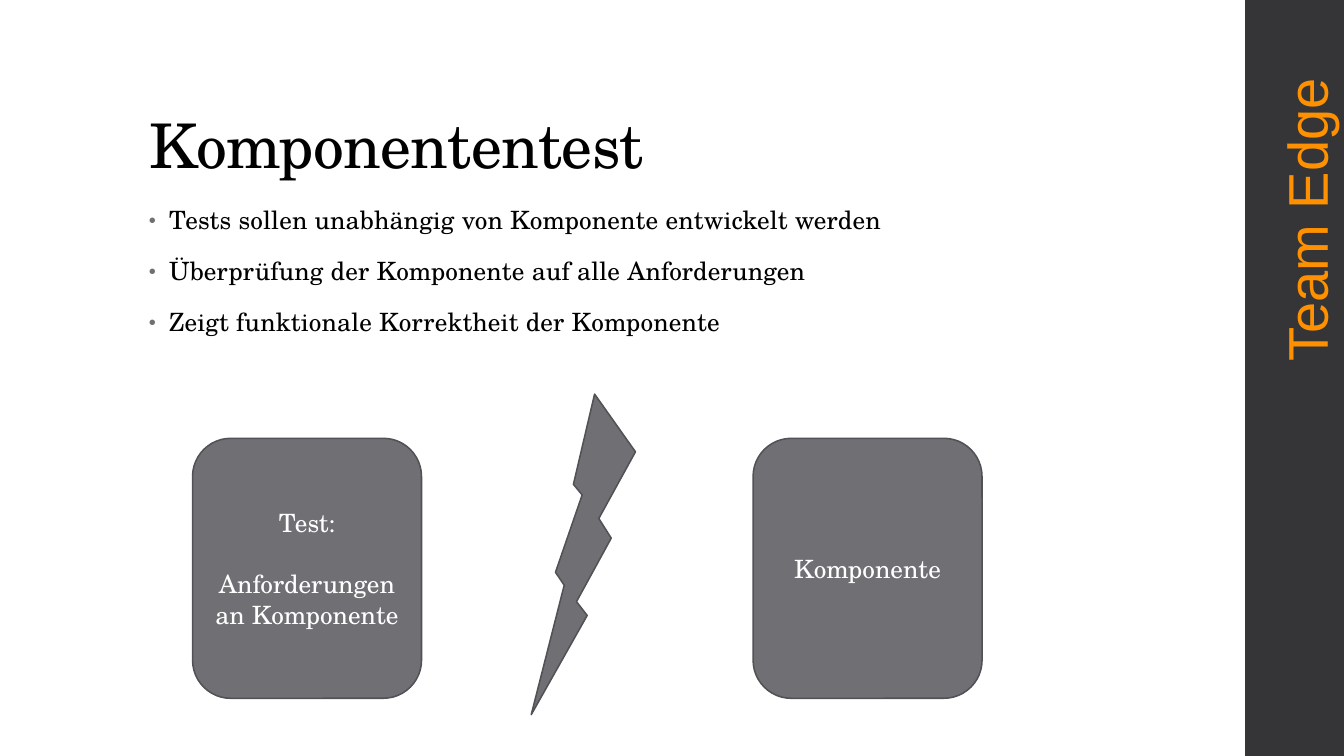
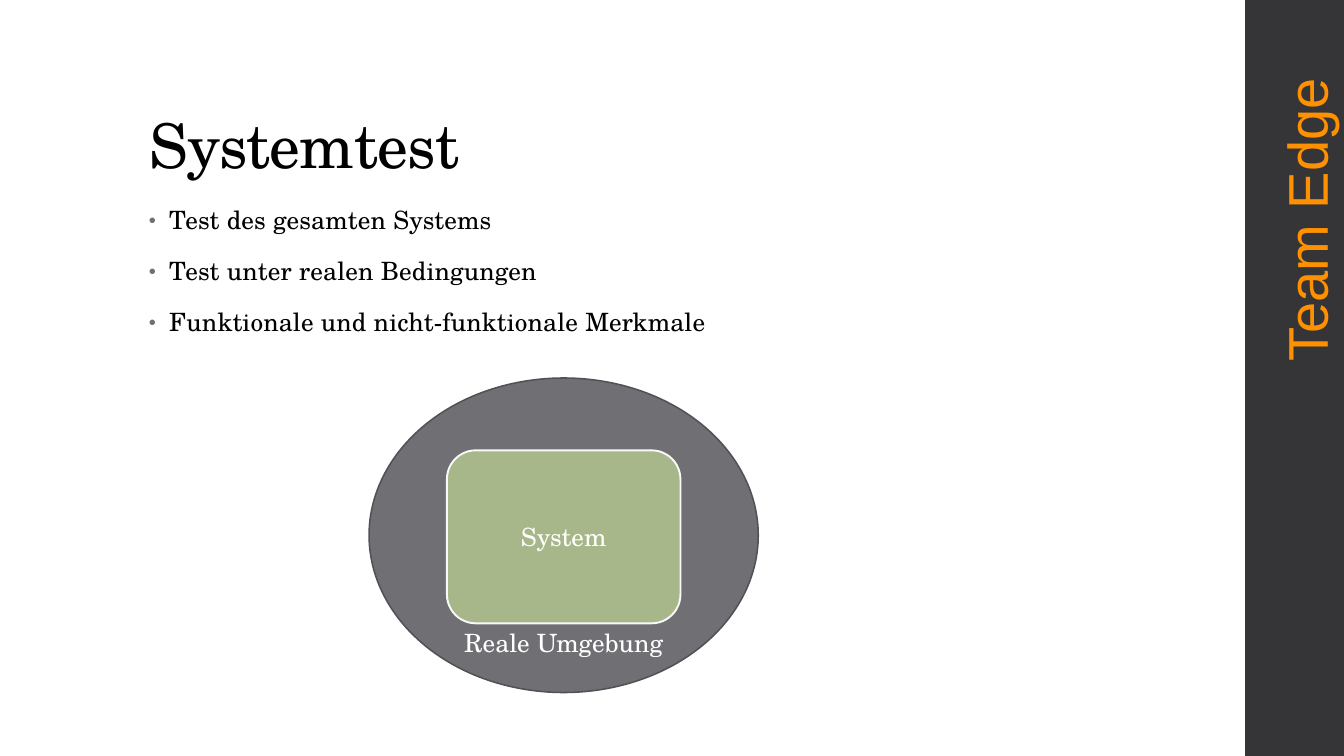
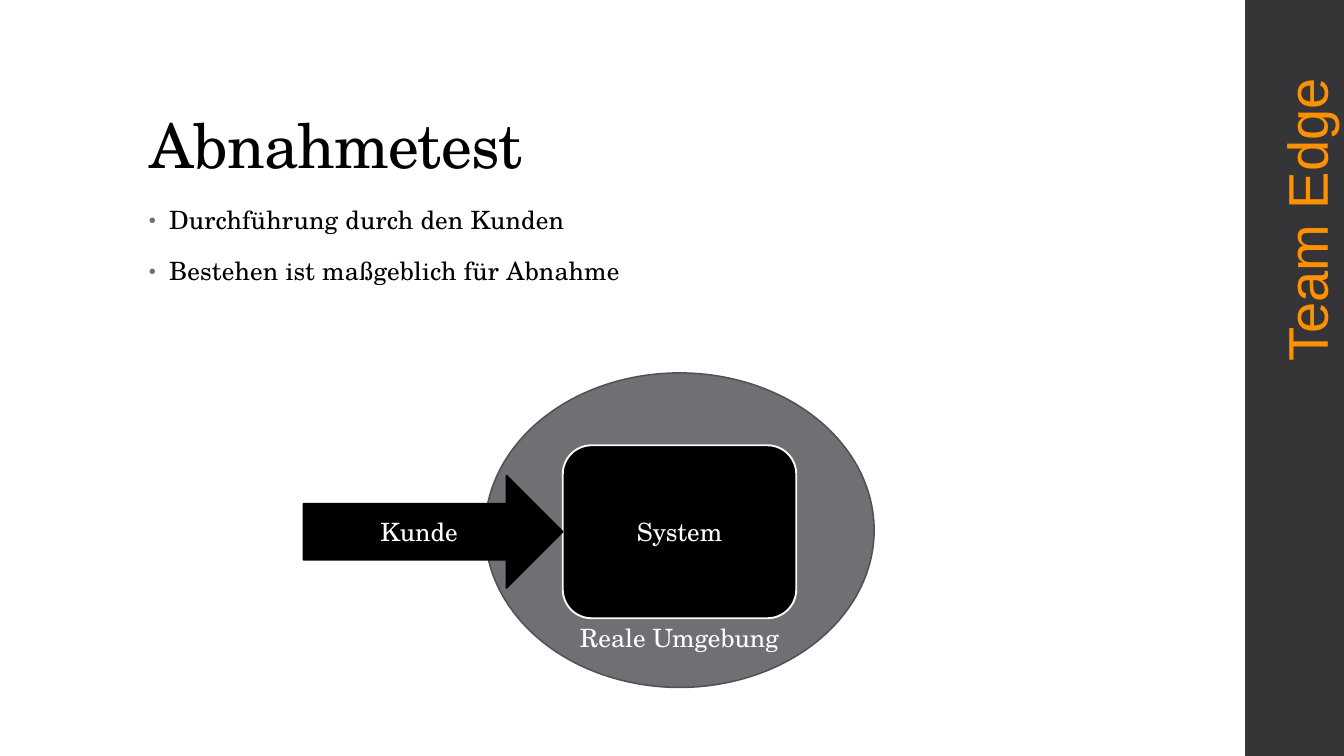
from collections import namedtuple

from lxml.etree import SubElement
from pptx import Presentation
from pptx.dml.color import RGBColor
from pptx.enum.shapes import MSO_SHAPE as Preset
from pptx.enum.text import MSO_ANCHOR as Anchor, MSO_AUTO_SIZE as AutoSize, PP_ALIGN as Align
from pptx.oxml.ns import qn
from pptx.util import Inches, Pt

SERIF, SANS = "TeX Gyre Schola", "Arial"
BLACK, WHITE, GRAY, GRAY_EDGE = "000000", "FFFFFF", "6F6F74", "525256"
BAND, ORANGE, GREEN, PALE = "353537", "FF9100", "A7B789", "F9F9F9"

TITLE_FONT = {"name": SERIF, "size": Pt(44), "bold": False}
BODY_FONT = {"name": SERIF, "size": Pt(18)}
TEAM_FONT = {"name": SANS, "size": Pt(40)}
BULLET_SPACING = {"line_spacing": 0.95, "space_before": Pt(14), "space_after": Pt(2)}


class Box(namedtuple("Box", "left top width height")):
    """A region in inches; areas inside it are given in percent of it."""

    def area(self, left, top, width, height):
        return Box(self.left + self.width * left / 100, self.top + self.height * top / 100,
                   self.width * width / 100, self.height * height / 100)

    def lengths(self):
        return [Inches(value) for value in self]


PAGE = Box(0, 0, 13.33, 7.5)


def rgb(color):
    return RGBColor.from_string(color)


def apply(target, formats):
    for name, value in formats.items():
        setattr(target, name, value)


def write(frame, lines, font, color, align=Align.LEFT, anchor=Anchor.MIDDLE,
          spacing=None, tracking=0):
    """Fill a text frame with one paragraph per line."""
    apply(frame, {"word_wrap": True, "auto_size": AutoSize.NONE, "vertical_anchor": anchor})
    for index, line in enumerate(lines):
        paragraph = frame.add_paragraph() if index else frame.paragraphs[0]
        apply(paragraph, {"alignment": align, **(spacing or {})})
        run = paragraph.add_run()
        run.text = line
        apply(run.font, font)
        run.font.color.rgb = rgb(color)
        run._r.get_or_add_rPr().set("spc", str(tracking))


def add_block(slide, preset, box, fill, edge=None, edge_width=1.1, lines=(), spacing=None):
    block = slide.shapes.add_shape(preset, *box.lengths())
    block.shadow.inherit = False
    block.fill.solid()
    block.fill.fore_color.rgb = rgb(fill)
    if edge:
        block.line.color.rgb = rgb(edge)
        block.line.width = Pt(edge_width)
    else:
        block.line.fill.background()
    write(block.text_frame, lines, BODY_FONT, WHITE, Align.CENTER, spacing=spacing)
    return block


def add_bullet(paragraph):
    props = paragraph._p.get_or_add_pPr()
    props.set("marL", str(Inches(0.2)))
    props.set("indent", str(-Inches(0.2)))
    SubElement(SubElement(props, qn("a:buClr")), qn("a:srgbClr")).set("val", GRAY)
    SubElement(props, qn("a:buSzPct")).set("val", "80000")
    SubElement(props, qn("a:buFont")).set("typeface", SANS)
    SubElement(props, qn("a:buChar")).set("char", "•")


def add_team_band(slide):
    add_block(slide, Preset.RECTANGLE, PAGE.area(92.65, 0, 7.35, 100), BAND)
    team = slide.shapes.add_textbox(*PAGE.area(83.57, 19.87, 27.16, 10.27).lengths())
    team.rotation = 270
    write(team.text_frame, ["Team Edge"], TEAM_FONT, ORANGE, anchor=Anchor.TOP)


def add_topic_slide(prs, heading, points):
    """Slide with the team band, a title and a bullet list."""
    slide = prs.slides.add_slide(prs.slide_layouts[5])
    add_team_band(slide)
    title = slide.shapes.title
    apply(title, dict(zip(("left", "top", "width", "height"),
                          PAGE.area(10.35, 5.33, 79.5, 19.33).lengths())))
    write(title.text_frame, [heading], TITLE_FONT, BLACK, anchor=Anchor.BOTTOM,
          spacing={"line_spacing": 0.9}, tracking=-50)
    body = slide.shapes.add_textbox(*PAGE.area(10.35, 26.67, 70.5, 63.5).lengths())
    write(body.text_frame, points, BODY_FONT, BLACK, anchor=Anchor.TOP,
          spacing=BULLET_SPACING, tracking=10)
    for paragraph in body.text_frame.paragraphs:
        add_bullet(paragraph)
    return slide


def add_conflict(slide, box):
    """Test and component, separated by a lightning bolt."""
    sides = [(0, ["Test:", "Anforderungen an Komponente"], {"space_after": Pt(22)}),
             (71, ["Komponente"], None)]
    for left, lines, spacing in sides:
        add_block(slide, Preset.ROUNDED_RECTANGLE, box.area(left, 13.8, 29, 81.1),
                  GRAY, GRAY_EDGE, lines=lines, spacing=spacing)
    bolt = add_block(slide, Preset.LIGHTNING_BOLT, box.area(42.9, 0, 13.2, 100), GRAY, GRAY_EDGE)
    bolt._element.spPr.xfrm.set("flipH", "1")


def add_environment(slide, box, system_fill):
    """System inside its real environment; returns the box of the system."""
    add_block(slide, Preset.OVAL, box, GRAY, GRAY_EDGE)
    system_box = box.area(20, 23, 60, 55)
    add_block(slide, Preset.ROUNDED_RECTANGLE, system_box, system_fill, PALE, 1.35, ["System"])
    caption = slide.shapes.add_textbox(*box.area(20, 78, 60, 12).lengths())
    apply(caption.text_frame, {"margin_top": 0, "margin_bottom": 0})
    write(caption.text_frame, ["Reale Umgebung"], BODY_FONT, WHITE, Align.CENTER)
    return system_box


def add_customer(slide, system_box):
    """Arrow that ends at the left edge of the system."""
    add_block(slide, Preset.RIGHT_ARROW, system_box.area(-111, 17.5, 111, 65),
              BLACK, BLACK, lines=["Kunde"])


def main():
    prs = Presentation()
    apply(prs, {"slide_width": Inches(PAGE.width), "slide_height": Inches(PAGE.height)})

    component = add_topic_slide(prs, "Komponententest", [
        "Tests sollen unabhängig von Komponente entwickelt werden",
        "Überprüfung der Komponente auf alle Anforderungen",
        "Zeigt funktionale Korrektheit der Komponente"])
    add_conflict(component, PAGE.area(14.33, 52.13, 58.74, 42.4))

    system = add_topic_slide(prs, "Systemtest", [
        "Test des gesamten Systems",
        "Test unter realen Bedingungen",
        "Funktionale und nicht-funktionale Merkmale"])
    add_environment(system, PAGE.area(27.46, 50, 28.96, 41.6), GREEN)

    acceptance = add_topic_slide(prs, "Abnahmetest", [
        "Durchführung durch den Kunden",
        "Bestehen ist maßgeblich für Abnahme"])
    system_box = add_environment(acceptance, PAGE.area(36.08, 49.33, 28.96, 41.6), BLACK)
    add_customer(acceptance, system_box)

    prs.save("out.pptx")


if __name__ == "__main__":
    main()
